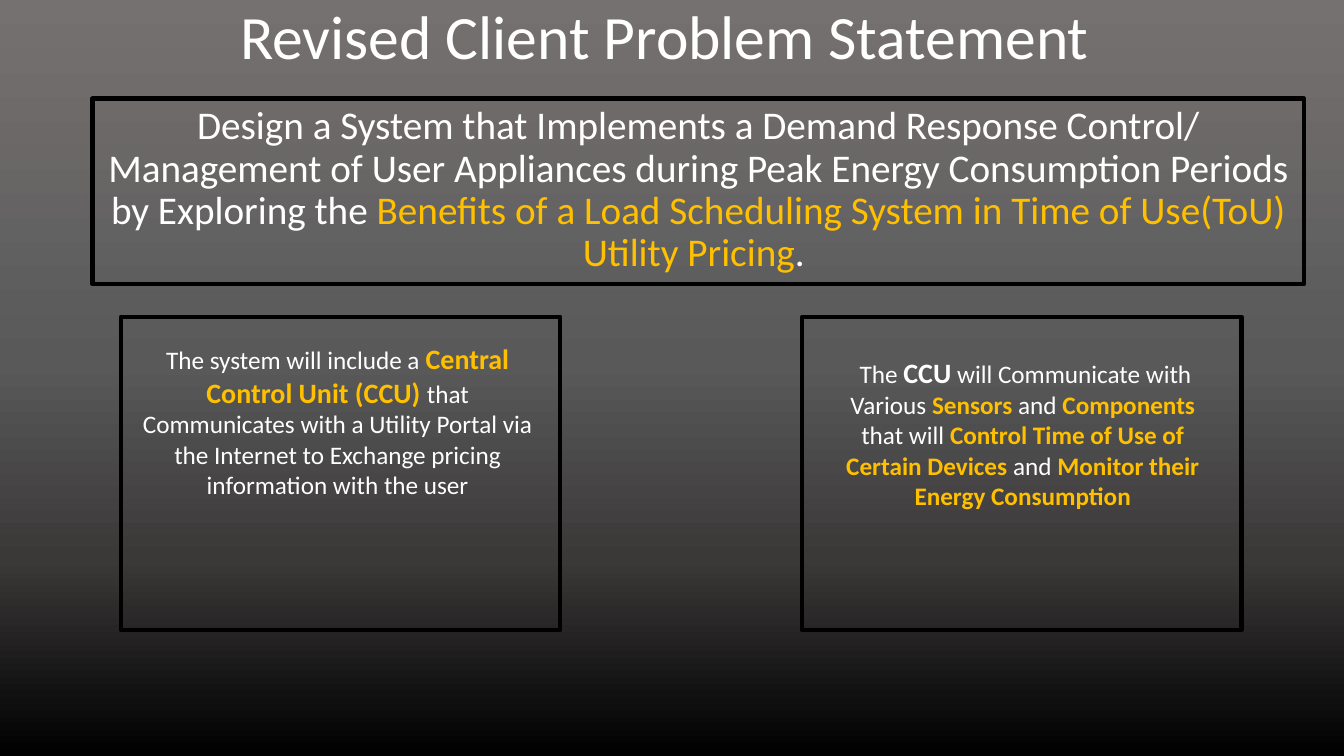
"""Build the Revised Client Problem Statement slide."""
from copy import deepcopy

from lxml import etree
from pptx import Presentation
from pptx.dml.color import RGBColor
from pptx.enum.shapes import MSO_SHAPE
from pptx.enum.text import MSO_ANCHOR, MSO_AUTO_SIZE, PP_ALIGN
from pptx.oxml.ns import qn
from pptx.util import Cm, Pt

RECTANGLE = MSO_SHAPE.RECTANGLE
TOP, MIDDLE = MSO_ANCHOR.TOP, MSO_ANCHOR.MIDDLE
NO_AUTOFIT, GROW = MSO_AUTO_SIZE.NONE, MSO_AUTO_SIZE.SHAPE_TO_FIT_TEXT
CENTER = PP_ALIGN.CENTER
WHITE = RGBColor(0xFF, 0xFF, 0xFF)
BLACK = RGBColor(0x00, 0x00, 0x00)
GOLD = RGBColor(0xFF, 0xC0, 0x00)
BACKDROP = [
    (0, RGBColor(0x76, 0x71, 0x71)),
    (0.48, RGBColor(0x59, 0x59, 0x59)),
    (0.74, RGBColor(0x3B, 0x38, 0x38)),
    (1, BLACK),
]


def place(shape, left, top, width, height):
    shape.left, shape.top = Cm(left), Cm(top)
    shape.width, shape.height = Cm(width), Cm(height)


def write(shape, runs, size, anchor=TOP, auto_size=NO_AUTOFIT):
    frame = shape.text_frame
    frame.word_wrap = True
    frame.auto_size = auto_size
    frame.vertical_anchor = anchor
    paragraph = frame.paragraphs[0]
    paragraph.alignment = CENTER
    paragraph.font.name = "Calibri"
    paragraph.font.size = Pt(size)
    for text, color, bold, run_size in runs:
        run = paragraph.add_run()
        run.text = text
        run.font.color.rgb = color
        run.font.bold = bold
        if run_size != size:
            run.font.size = Pt(run_size)
    return paragraph


prs = Presentation()
prs.slide_width, prs.slide_height = Cm(33.87), Cm(19.05)
slide = prs.slides.add_slide(prs.slide_layouts[1])

backdrop = slide.background.fill
backdrop.gradient()
backdrop.gradient_angle = 270
stop_list = slide.element.find(".//" + qn("a:gsLst"))
for _ in BACKDROP[2:]:
    stop_list.append(deepcopy(stop_list[0]))
for stop, (position, color) in zip(backdrop.gradient_stops, BACKDROP):
    stop.position = position
    stop.color.rgb = color

title, statement = slide.placeholders
place(title, 2.33, -0.84, 29.21, 3.68)
heading = write(title, [("Revised Client Problem Statement ", WHITE, False, 44)], 44, MIDDLE)
heading.line_spacing = 0.9

place(statement, 2.33, 2.54, 30.53, 4.67)
goal = write(statement, [
    ("Design a System that Implements a Demand Response Control/ Management of User "
     "Appliances during Peak Energy Consumption Periods by Exploring the ", WHITE, False, 28),
    ("Benefits of a Load Scheduling System in Time of Use(ToU) Utility Pricing", GOLD, False, 28),
    (". ", WHITE, False, 28),
], 28)
goal.line_spacing = 0.9
goal.space_before = Pt(10)
goal_format = goal._p.get_or_add_pPr()
goal_format.set("marL", "0")
goal_format.set("indent", "0")
bullet_off = etree.Element(qn("a:buNone"))
goal_format.find(qn("a:spcBef")).addnext(bullet_off)

CONTROL_UNIT = [
    ("The system will include a ", WHITE, False, 18),
    ("Central Control Unit (CCU) ", GOLD, True, 20),
    ("that Communicates with a Utility Portal via the Internet to Exchange pricing "
     "information with the user", WHITE, False, 18),
]
DEVICE_CONTROL = [
    (" The ", WHITE, False, 18),
    ("CCU", WHITE, True, 20),
    (" will Communicate with Various ", WHITE, False, 18),
    ("Sensors", GOLD, True, 18),
    (" and ", WHITE, False, 18),
    ("Components ", GOLD, True, 18),
    ("that will ", WHITE, False, 18),
    ("Control Time of Use of Certain Devices ", GOLD, True, 18),
    ("and ", WHITE, False, 18),
    ("Monitor their Energy Consumption", GOLD, True, 18),
]
for bounds, runs in [
    ((3.28, 8.48, 10.46, 4.27), CONTROL_UNIT),
    ((20.96, 8.84, 9.63, 4.19), DEVICE_CONTROL),
]:
    requirement = slide.shapes.add_textbox(*map(Cm, bounds))
    write(requirement, runs, 18, auto_size=GROW)

for bounds, weight in [
    ((2.33, 2.49, 30.53, 4.67), 3.25),
    ((3.05, 7.98, 11.07, 7.9), 3),
    ((20.22, 7.98, 11.07, 7.9), 3),
]:
    border = slide.shapes.add_shape(RECTANGLE, *map(Cm, bounds))
    border.shadow.inherit = False
    border.fill.background()
    border.line.color.rgb = BLACK
    border.line.width = Pt(weight)

prs.save("out.pptx")
